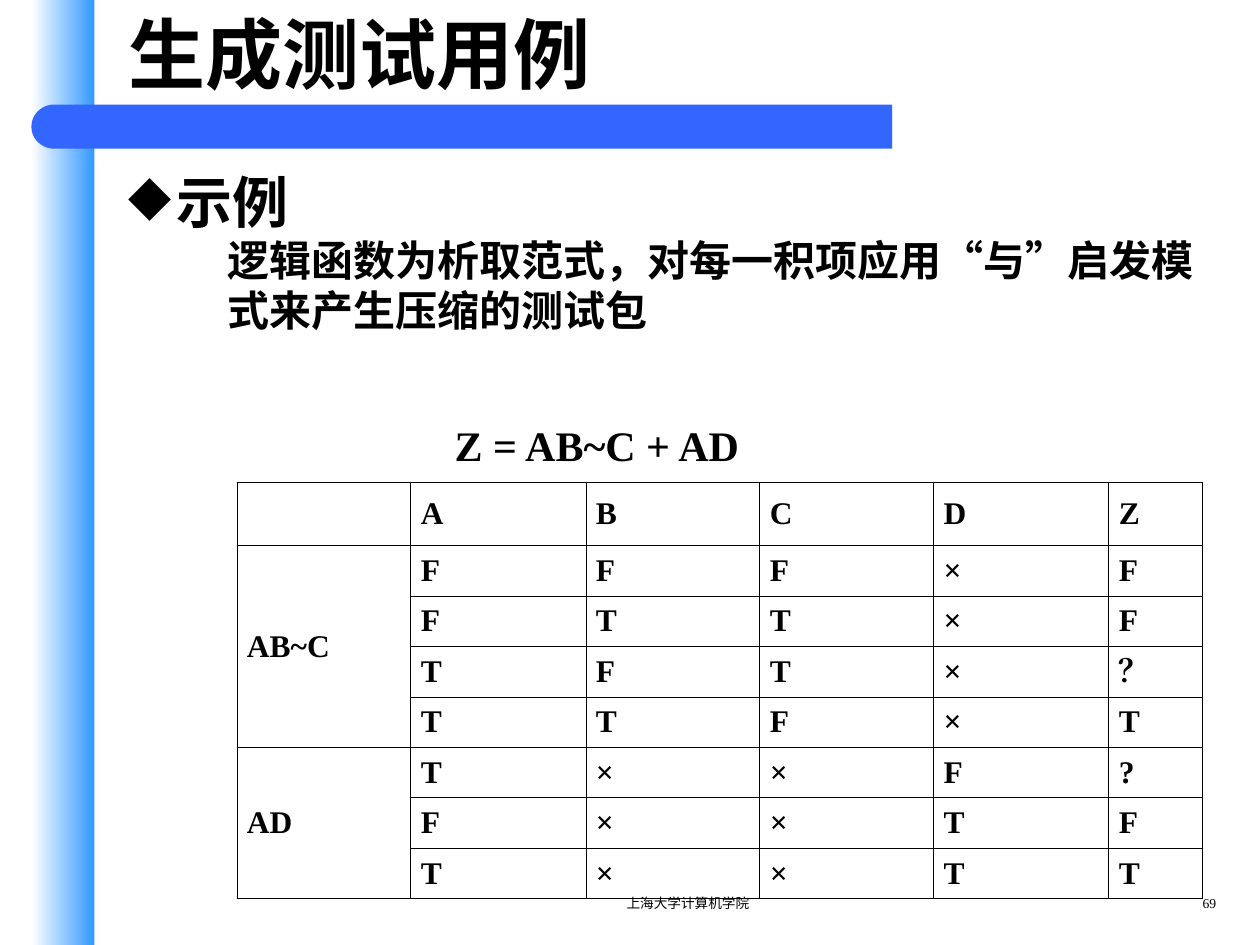
import dataclasses

import lxml.etree
import pptx
import pptx.dml.color
import pptx.enum.shapes
import pptx.enum.text
import pptx.oxml
import pptx.oxml.ns
import pptx.util

Inches = pptx.util.Inches
Pt = pptx.util.Pt
qn = pptx.oxml.ns.qn
Shape = pptx.enum.shapes.MSO_SHAPE
Align = pptx.enum.text.PP_ALIGN
Anchor = pptx.enum.text.MSO_ANCHOR


@dataclasses.dataclass(frozen=True)
class Theme:
    ink: str = "000000"
    bar: str = "3366FF"
    band_start: str = "FFFFFF"
    band_end: str = "3399FF"
    heading_font: str = "Cambria"
    chinese_font: str = "Noto Sans CJK SC"
    serif_font: str = "Times New Roman"
    title_size: float = 44
    heading_size: float = 32
    body_size: float = 24
    table_size: float = 18
    footer_size: float = 7.8
    border_width: float = 0.45


def color(value):
    return pptx.dml.color.RGBColor.from_string(value)


class SlideBuilder:
    def __init__(self, slide, theme):
        self.slide = slide
        self.theme = theme

    def shape(self, kind, left, top, width, height):
        shape = self.slide.shapes.add_shape(
            kind, Inches(left), Inches(top), Inches(width), Inches(height))
        shape.shadow.inherit = False
        shape.line.fill.background()
        shape.fill.solid()
        shape.fill.fore_color.rgb = color(self.theme.bar)
        return shape

    def gradient_band(self, left, top, width, height):
        fill = self.shape(Shape.RECTANGLE, left, top, width, height).fill
        fill.gradient()
        fill.gradient_angle = 0
        for stop, value, position in zip(
                fill.gradient_stops, (self.theme.band_start, self.theme.band_end), (0, 1)):
            stop.color.rgb = color(value)
            stop.position = position

    def text_box(self, left, top, width, height, anchor=Anchor.TOP, wrap=True):
        box = self.slide.shapes.add_textbox(
            Inches(left), Inches(top), Inches(width), Inches(height))
        box.text_frame.word_wrap = wrap
        box.text_frame.vertical_anchor = anchor
        return box.text_frame

    def set_text(self, paragraph, text, size, font, bold=True, align=Align.LEFT,
                 spacing=None, east_asian=None):
        paragraph.text = text
        paragraph.alignment = align
        if spacing:
            paragraph.line_spacing = spacing
        for run in paragraph.runs:
            run.font.size = Pt(size)
            run.font.bold = bold
            run.font.name = font
            run.font.color.rgb = color(self.theme.ink)
            east = lxml.etree.Element(qn("a:ea"))
            east.set("typeface", east_asian or self.theme.chinese_font)
            run.font._element.find(qn("a:latin")).addnext(east)

    def indent(self, paragraph, margin, first_line=0, bullet=None):
        properties = paragraph._p.get_or_add_pPr()
        properties.set("marL", str(Inches(margin)))
        properties.set("indent", str(Inches(first_line)))
        if bullet:
            lxml.etree.SubElement(properties, qn("a:buChar")).set("char", bullet)

    def border(self, cell):
        properties = cell._tc.get_or_add_tcPr()
        for position, side in enumerate(("lnL", "lnR", "lnT", "lnB")):
            line = lxml.etree.Element(qn("a:" + side))
            line.set("w", str(Pt(self.theme.border_width)))
            fill = lxml.etree.SubElement(line, qn("a:solidFill"))
            lxml.etree.SubElement(fill, qn("a:srgbClr")).set("val", self.theme.ink)
            properties.insert(position, line)

    def table(self, left, top, widths, heights, rows, merges):
        table = self.slide.shapes.add_table(
            len(rows), len(widths), Inches(left), Inches(top),
            Inches(sum(widths)), Inches(sum(heights))).table
        table.first_row = False
        table.horz_banding = False
        for column, width in zip(table.columns, widths):
            column.width = Inches(width)
        for row, height, values in zip(table.rows, heights, rows):
            row.height = Inches(height)
            for cell, value in zip(row.cells, values):
                cell.fill.background()
                cell.vertical_anchor = Anchor.MIDDLE
                cell.margin_left = cell.margin_right = Inches(0.08)
                cell.margin_top = cell.margin_bottom = Inches(0.05)
                self.border(cell)
                if value:
                    self.set_text(cell.text_frame.paragraphs[0], value,
                                  self.theme.table_size, self.theme.serif_font,
                                  align=Align.JUSTIFY, east_asian=self.theme.serif_font)
        for first, last in merges:
            table.cell(first, 0).merge(table.cell(last, 0))


def main():
    presentation = pptx.Presentation()
    presentation.slide_width = Inches(10)
    presentation.slide_height = Inches(7.5)
    theme = Theme()
    builder = SlideBuilder(
        presentation.slides.add_slide(presentation.slide_layouts[6]), theme)

    # Side band and title bar with a rounded left end
    builder.gradient_band(0.25, 0, 0.5, 7.5)
    bar = builder.shape(Shape.ROUNDED_RECTANGLE, 0.6, 0.83, 6.48, 0.35)
    bar.adjustments[0] = 0
    bar_end = builder.shape(Shape.FLOWCHART_DELAY, 0.25, 0.83, 0.36, 0.35)
    bar_end._element.spPr.find(qn("a:xfrm")).set("flipH", "1")

    # Title
    title = builder.text_box(0.92, 0, 8.67, 0.83, Anchor.MIDDLE)
    builder.set_text(title.paragraphs[0], "生成测试用例", theme.title_size, theme.heading_font)

    # Body
    body = builder.text_box(0.92, 1.17, 8.92, 1.87)
    heading = body.paragraphs[0]
    builder.indent(heading, 0.38, -0.38, "◆")
    builder.set_text(heading, "示例", theme.heading_size, theme.heading_font, spacing=1.2)
    explanation = body.add_paragraph()
    explanation.level = 1
    builder.indent(explanation, 0.79)
    builder.set_text(explanation,
                     "逻辑函数为析取范式，对每一积项应用“与”启发模式来产生压缩的测试包",
                     theme.body_size, theme.chinese_font, spacing=1.0)

    # Footer and slide number
    for text, left, width, align in (("上海大学计算机学院", 3.75, 3.42, Align.CENTER),
                                     ("69", 9, 0.75, Align.RIGHT)):
        footer = builder.text_box(left, 7.08, width, 0.25)
        builder.set_text(footer.paragraphs[0], text, theme.footer_size, theme.serif_font,
                         bold=False, align=align, spacing=0.8)

    # Formula
    formula = builder.text_box(3.51, 3.28, 2.49, 0.5, wrap=False)
    builder.set_text(formula.paragraphs[0], "Z = AB~C + AD", theme.body_size, theme.serif_font)

    # Test cases: term, inputs A to D, result Z
    rows = [
        ("", *"ABCDZ"),
        ("AB~C", *"FFF×F"),
        ("", *"FTT×F"),
        ("", *"TFT×？"),
        ("", *"TTF×T"),
        ("AD", *"T××F?"),
        ("", *"F××TF"),
        ("", *"T××TT"),
    ]
    builder.table(1.88, 3.83, [1.38, 1.39, 1.38, 1.38, 1.39, 0.74],
                  [0.5] + [0.4] * 7, rows, merges=[(1, 4), (5, 7)])

    presentation.save("out.pptx")


if __name__ == "__main__":
    main()
